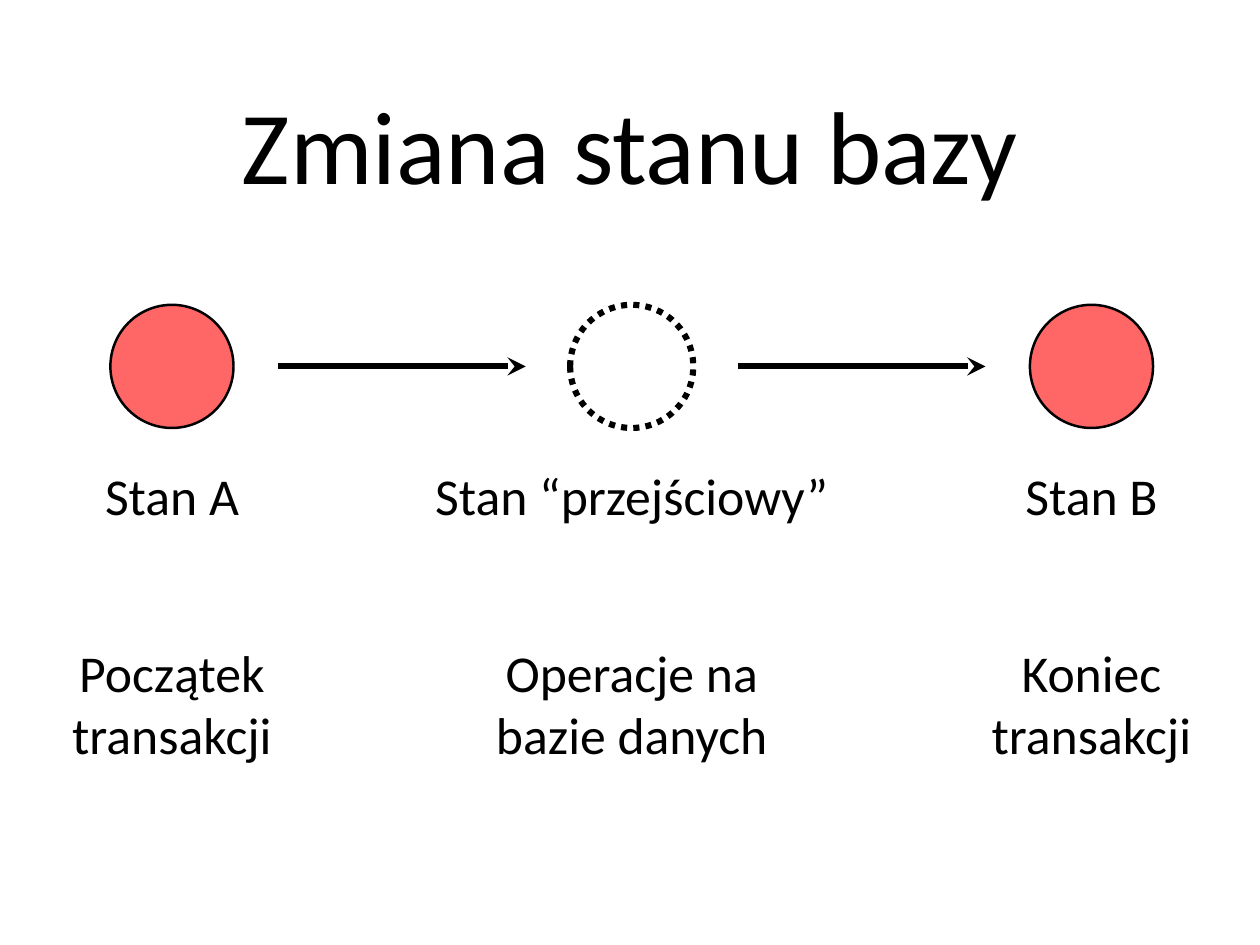
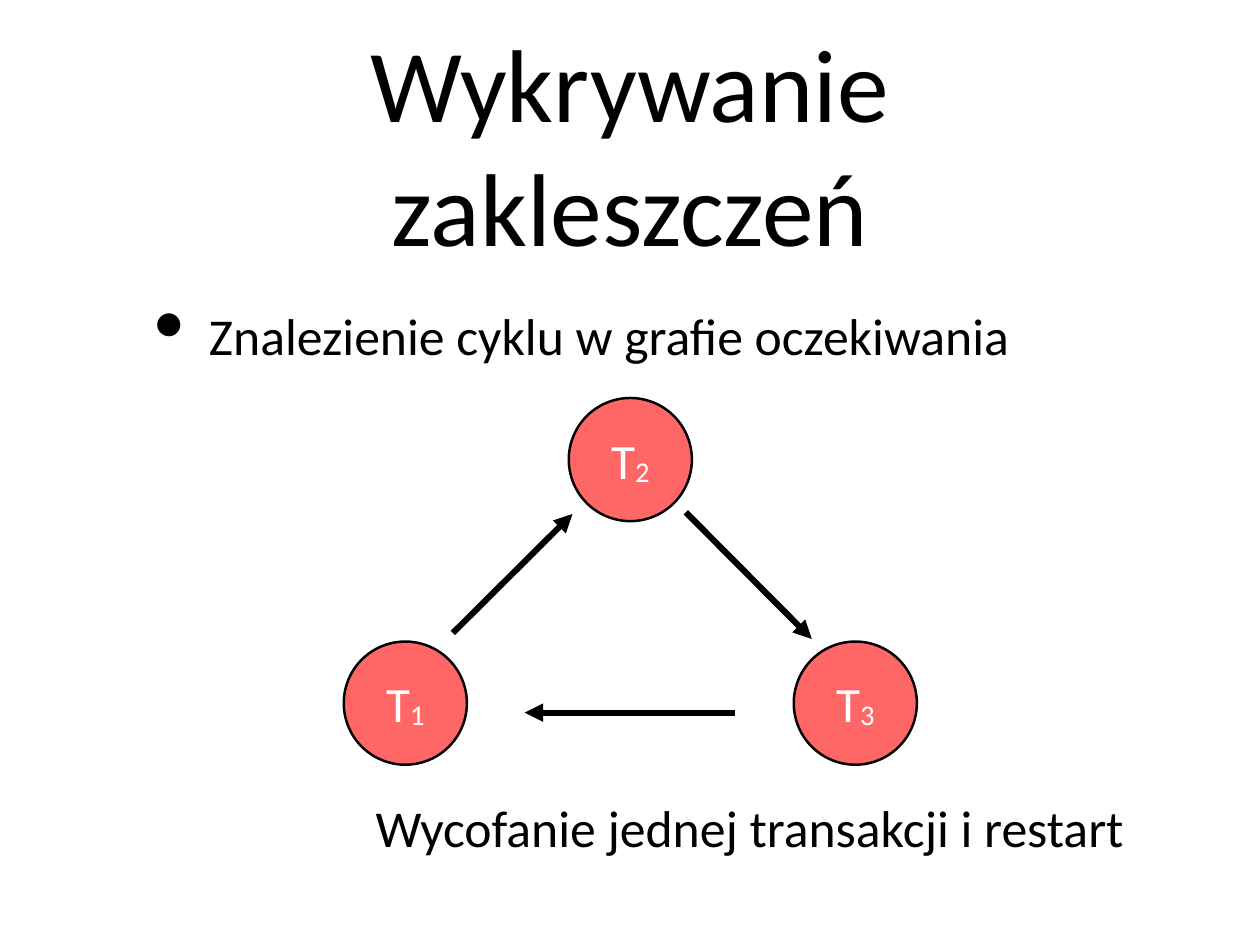
from lxml import etree
from pptx import Presentation
from pptx.dml.color import RGBColor
from pptx.enum.dml import MSO_LINE
from pptx.enum.shapes import MSO_CONNECTOR, MSO_SHAPE
from pptx.enum.text import MSO_ANCHOR, MSO_AUTO_SIZE, PP_ALIGN
from pptx.oxml.ns import qn
from pptx.util import Cm, Pt

BLACK = RGBColor(0, 0, 0)
WHITE = RGBColor(255, 255, 255)
CORAL = RGBColor(0xFF, 0x66, 0x66)
CENTER, LEFT = PP_ALIGN.CENTER, PP_ALIGN.LEFT
MIDDLE = MSO_ANCHOR.MIDDLE
FIXED = MSO_AUTO_SIZE.NONE
DOTTED = MSO_LINE.ROUND_DOT
OVAL = MSO_SHAPE.OVAL
STRAIGHT = MSO_CONNECTOR.STRAIGHT

FONT = "Calibri"
TITLE_SIZE, BODY_SIZE, NODE_SIZE = 84, 42, 40
PAGE_WIDTH, PAGE_HEIGHT = 36.12, 27.08
CONTENT_LEFT, CONTENT_WIDTH = 3.53, 29.06
DIAMETER = 3.53
THIN, THICK = 2, 5

STATES_TITLE = "Zmiana stanu bazy"
STATES = [
    ("Stan A", "Początek\ntransakcji", 8, True),
    ("Stan “przejściowy”", "Operacje na\nbazie danych", 13.2, False),
    ("Stan B", "Koniec\ntransakcji", 8, True),
]
FIRST_STATE_X, STATE_STEP, STATE_Y = 4.93, 13.18, 10.5
NAME_Y, NAME_HEIGHT = 14.18, 1.78
STAGE_Y, STAGE_HEIGHT = 20.14, 3.56
STATE_ARROW_LENGTH = 7.1

DEADLOCK_TITLE = "Wykrywanie zakleszczeń"
DETECTION = "Znalezienie cyklu w grafie oczekiwania"
RESOLUTION = "Wycofanie jednej transakcji i restart"
TRANSACTIONS = [("1", 11.62, 20.15), ("2", 18.07, 13.17), ("3", 24.52, 20.15)]
WAITS = [
    ((12.98, 18.14), (16.41, 14.73)),
    ((19.66, 14.68), (23.27, 18.31)),
    ((21.06, 20.42), (15.04, 20.42)),
]


def format_text(frame, size, color=BLACK, align=CENTER, inset=0):
    frame.word_wrap = True
    frame.auto_size = FIXED
    frame.vertical_anchor = MIDDLE
    frame.margin_left = frame.margin_right = Cm(inset)
    frame.margin_top = frame.margin_bottom = Cm(inset)
    for para in frame.paragraphs:
        para.alignment = align
        for span in para.runs:
            span.font.name = FONT
            span.font.size = Pt(size)
            span.font.color.rgb = color


def add_page(deck, title):
    page = deck.slides.add_slide(deck.slide_layouts[5])
    heading = page.shapes.title
    heading.left, heading.top = Cm(CONTENT_LEFT), Cm(0.71)
    heading.width, heading.height = Cm(CONTENT_WIDTH), Cm(6.78)
    heading.text_frame.text = title
    format_text(heading.text_frame, TITLE_SIZE, inset=0.15)
    return page


def add_text(page, text, left, top, width, height, align=CENTER):
    box = page.shapes.add_textbox(Cm(left), Cm(top), Cm(width), Cm(height))
    box.text_frame.text = text
    format_text(box.text_frame, BODY_SIZE, align=align)
    return box


def add_circle(page, x, y, fill=CORAL, weight=THIN):
    circle = page.shapes.add_shape(
        OVAL, Cm(x - DIAMETER / 2), Cm(y - DIAMETER / 2), Cm(DIAMETER), Cm(DIAMETER)
    )
    circle.shadow.inherit = False
    circle.fill.solid()
    circle.fill.fore_color.rgb = fill
    circle.line.color.rgb = BLACK
    circle.line.width = Pt(weight)
    return circle


def add_arrow(page, start, end, head):
    arrow = page.shapes.add_connector(STRAIGHT, *map(Cm, (*start, *end)))
    arrow.line.color.rgb = BLACK
    arrow.line.width = Pt(THICK)
    etree.SubElement(arrow.line._get_or_add_ln(), qn("a:tailEnd"), type=head)
    etree.SubElement(arrow._element.spPr, qn("a:effectLst"))


def add_bullet(para):
    properties = para._p.get_or_add_pPr()
    properties.set("marL", str(Cm(2.46)))
    properties.set("indent", str(Cm(-1.57)))
    color = etree.SubElement(properties, qn("a:buClr"))
    etree.SubElement(color, qn("a:srgbClr"), val=str(BLACK))
    etree.SubElement(properties, qn("a:buSzPct"), val="171000")
    etree.SubElement(properties, qn("a:buChar"), char="•")


def build_states(deck):
    page = add_page(deck, STATES_TITLE)
    for index, (name, stage, width, stable) in enumerate(STATES):
        x = FIRST_STATE_X + index * STATE_STEP
        if stable:
            add_circle(page, x, STATE_Y)
        else:
            circle = add_circle(page, x, STATE_Y, WHITE, THICK)
            circle.line.dash_style = DOTTED
        for text, y, height in ((name, NAME_Y, NAME_HEIGHT), (stage, STAGE_Y, STAGE_HEIGHT)):
            add_text(page, text, x - width / 2, y - height / 2, width, height)
        if index:
            end = x - (STATE_STEP - STATE_ARROW_LENGTH) / 2
            add_arrow(page, (end - STATE_ARROW_LENGTH, STATE_Y), (end, STATE_Y), "stealth")


def build_deadlock(deck):
    page = add_page(deck, DEADLOCK_TITLE)
    for number, x, y in TRANSACTIONS:
        frame = add_circle(page, x, y).text_frame
        frame.text = "T"
        subscript = frame.paragraphs[0].add_run()
        subscript.text = number
        format_text(frame, NODE_SIZE, WHITE)
        subscript._r.get_or_add_rPr().set("baseline", "-6000")
    for start, end in WAITS:
        add_arrow(page, start, end, "triangle")
    box = add_text(page, DETECTION, CONTENT_LEFT, 6.83, CONTENT_WIDTH, 5.54, LEFT)
    add_bullet(box.text_frame.paragraphs[0])
    add_text(page, RESOLUTION, 10.77, 20.93, 24, 5.54, LEFT)


def main():
    deck = Presentation()
    deck.slide_width, deck.slide_height = Cm(PAGE_WIDTH), Cm(PAGE_HEIGHT)
    build_states(deck)
    build_deadlock(deck)
    deck.save("out.pptx")


if __name__ == "__main__":
    main()
